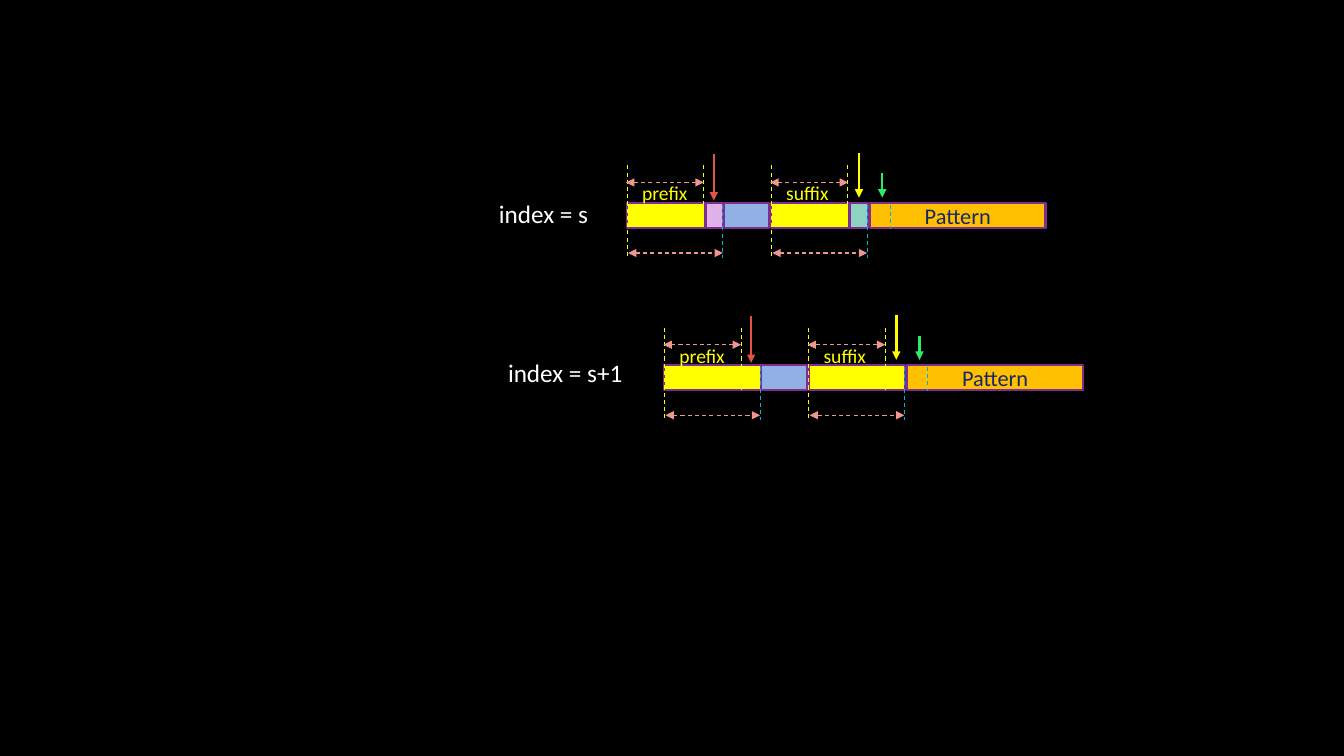
from lxml import etree
from pptx import Presentation
from pptx import util as u
from pptx.dml.color import RGBColor
from pptx.enum import dml, shapes, text
from pptx.oxml import ns

BLACK = RGBColor(0x00, 0x00, 0x00)
WHITE = RGBColor(0xFF, 0xFF, 0xFF)
YELLOW = RGBColor(0xFF, 0xFF, 0x00)
ORANGE = RGBColor(0xFF, 0xC0, 0x00)
BLUE = RGBColor(0x91, 0xB0, 0xE3)
PINK = RGBColor(0xDE, 0xB2, 0xE6)
TEAL = RGBColor(0x8E, 0xD3, 0xC2)
PURPLE = RGBColor(0x7F, 0x2E, 0x8F)
NAVY = RGBColor(0x18, 0x27, 0x6C)
SALMON = RGBColor(0xEE, 0x97, 0x91)
CYAN = RGBColor(0x00, 0xB0, 0xF0)
RED = RGBColor(0xE2, 0x52, 0x47)
GREEN = RGBColor(0x2C, 0xEC, 0x67)

BAR_HEIGHT = 0.25
SUFFIX_LEFT = 1.43
MATCH_WIDTH = 0.77      # prefix and suffix matched so far
NEXT_WIDTH = 0.96       # match extended by one more character


def write(frame, words, size=14, color=YELLOW, align=text.PP_ALIGN.LEFT):
    paragraph = frame.paragraphs[0]
    paragraph.alignment = align
    run = paragraph.add_run()
    run.text = words
    run.font.name = "Calibri"
    run.font.size = u.Pt(size)
    run.font.color.rgb = color


def add_label(slide, left, top, width, height, words, **style):
    label = slide.shapes.add_textbox(*map(u.Inches, (left, top, width, height)))
    label.text_frame.word_wrap = True
    write(label.text_frame, words, **style)


def add_block(slide, left, top, width, fill):
    block = slide.shapes.add_shape(
        shapes.MSO_SHAPE.RECTANGLE,
        *map(u.Inches, (left, top, width, BAR_HEIGHT)))
    block.shadow.inherit = False
    block.fill.solid()
    block.fill.fore_color.rgb = fill
    block.line.color.rgb = PURPLE
    block.line.width = u.Pt(1.5)
    return block


def add_line(slide, x1, y1, x2, y2, color, width=0.75, dashed=True, ends=()):
    line = slide.shapes.add_connector(
        shapes.MSO_CONNECTOR.STRAIGHT, *map(u.Inches, (x1, y1, x2, y2)))
    line.line.color.rgb = color
    line.line.width = u.Pt(width)
    if dashed:
        line.line.dash_style = dml.MSO_LINE.DASH
    outline = line.line._get_or_add_ln()
    for end in ends:
        etree.SubElement(outline, ns.qn(f"a:{end}"), type="triangle")
    etree.SubElement(line._element.spPr, ns.qn("a:effectLst"))


def add_pattern_row(slide, left, top, blocks):
    """Draw one pattern bar whose top left corner is at (left, top)."""
    # Bar
    pattern = add_block(slide, left + 2.41, top, 1.74, ORANGE)
    pattern.text_frame.vertical_anchor = text.MSO_ANCHOR.MIDDLE
    write(pattern.text_frame, "Pattern", size=16, color=NAVY,
          align=text.PP_ALIGN.CENTER)
    for offset, width, fill in blocks:
        add_block(slide, left + offset, top, width, fill)

    # Guides, spans and names of the two matching halves
    for name, offset in (("prefix", 0), ("suffix", SUFFIX_LEFT)):
        start = left + offset
        match_end = start + MATCH_WIDTH - 0.01
        next_end = start + NEXT_WIDTH - 0.01
        add_line(slide, start, top - 0.37, start, top + 0.55, YELLOW)
        add_line(slide, match_end, top - 0.37, match_end, top + 0.26, YELLOW)
        add_line(slide, next_end, top + 0.02, next_end, top + 0.55, CYAN)
        for x1, x2, y in ((start - 0.01, match_end, top - 0.2),
                          (start + 0.01, next_end, top + 0.5)):
            add_line(slide, x1, y, x2, y, SALMON, ends=("headEnd", "tailEnd"))
        add_label(slide, start + 0.05, top - 0.26, 0.74, 0.34, name)
    add_line(slide, left + 2.61, top + 0.02, left + 2.61, top + 0.26, CYAN)

    # Pointers to the compared characters
    for offset, start, end, color in ((0.86, 0.48, 0.02, RED),
                                      (2.3, 0.49, 0.05, YELLOW),
                                      (2.53, 0.29, 0.05, GREEN)):
        add_line(slide, left + offset, top - start, left + offset, top - end,
                 color, width=1.75, dashed=False, ends=("tailEnd",))


def main():
    prs = Presentation()
    prs.slide_width, prs.slide_height = u.Inches(13.33), u.Inches(7.5)
    slide = prs.slides.add_slide(prs.slide_layouts[6])
    slide.background.fill.solid()
    slide.background.fill.fore_color.rgb = BLACK

    middle = (0.96, 0.45, BLUE)

    # Match before the next character is compared
    add_pattern_row(slide, 6.22, 2.01, [
        (2.21, 0.18, TEAL), middle, (0.78, 0.17, PINK),
        (SUFFIX_LEFT, MATCH_WIDTH, YELLOW), (0, MATCH_WIDTH, YELLOW)])
    add_label(slide, 4.85, 1.92, 1.24, 0.4, "index = s", size=18, color=WHITE)

    # Match after the next character is accepted
    add_pattern_row(slide, 6.59, 3.62, [
        middle, (SUFFIX_LEFT, NEXT_WIDTH, YELLOW), (0, NEXT_WIDTH, YELLOW)])
    add_label(slide, 4.94, 3.5, 1.58, 0.4, "index = s+1", size=18, color=WHITE)

    prs.save("out.pptx")


if __name__ == "__main__":
    main()
